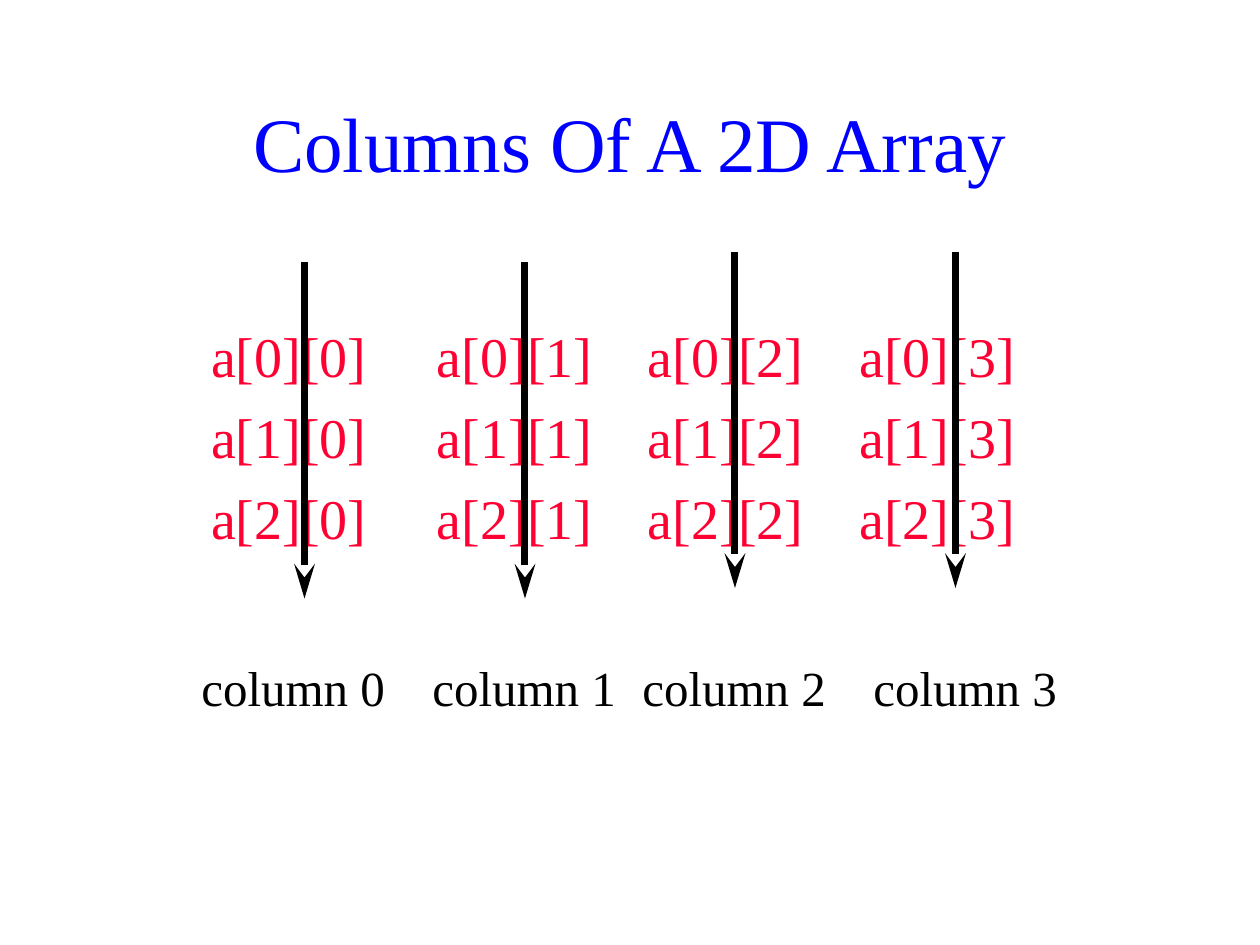
from dataclasses import dataclass

from lxml import etree
from pptx import Presentation
from pptx.dml.color import RGBColor
from pptx.enum import shapes, text
from pptx.oxml.ns import qn
from pptx.util import Pt


@dataclass(frozen=True)
class Theme:
    face: str = "Times New Roman"
    blue: str = "0000FF"
    red: str = "FF0033"
    black: str = "000000"
    head: int = 44
    cell: int = 32
    label: int = 28
    stroke: int = 4


@dataclass(frozen=True)
class Column:
    index: int
    cell: float  # left edge of the array cells
    line: float  # centre of the arrow
    top: float
    label: float


THEME = Theme()
ROWS = 3
LENGTH = 192
BODY = (30, 180, 642, 138)
COLUMNS = [
    Column(0, 120.7, 174, 150, 108),
    Column(1, 249.7, 300, 150, 240),
    Column(2, 370.3, 420, 144, 360),
    Column(3, 491.2, 546, 144, 492),
]


def apply(target, values: dict) -> None:
    for name, value in values.items():
        setattr(target, name, value)


def style(para, size: int, color: str) -> None:
    apply(para.font, {"name": THEME.face, "size": Pt(size)})
    para.font.color.rgb = RGBColor.from_string(color)


def add_tabs(para, stops: list[float]) -> None:
    tabs = etree.SubElement(para._p.get_or_add_pPr(), qn("a:tabLst"))
    for stop in stops:
        etree.SubElement(tabs, qn("a:tab"), pos=str(Pt(stop)), algn="l")


def set_title(shape) -> None:
    apply(shape, {"left": Pt(54), "top": Pt(36),
                  "width": Pt(612), "height": Pt(90)})
    frame = shape.text_frame
    apply(frame, {"text": "Columns Of A 2D Array",
                  "vertical_anchor": text.MSO_ANCHOR.MIDDLE})
    para = frame.paragraphs[0]
    para.alignment = text.PP_ALIGN.CENTER
    style(para, THEME.head, THEME.blue)


def add_cells(slide) -> None:
    """Write one tabbed line for each row of the array."""
    frame = slide.shapes.add_textbox(*map(Pt, BODY)).text_frame
    start = COLUMNS[0].cell
    apply(frame, {"margin_left": Pt(start - BODY[0]), "margin_right": 0,
                  "word_wrap": True})
    frame.text = "\n".join(
        "\t".join(f"a[{row}][{col.index}]" for col in COLUMNS)
        for row in range(ROWS))
    for row, para in enumerate(frame.paragraphs):
        add_tabs(para, [col.cell - start for col in COLUMNS[1:]])
        para.space_before = Pt(8 if row else 0)
        style(para, THEME.cell, THEME.red)


def add_arrow(slide, col: Column) -> None:
    line = slide.shapes.add_connector(
        shapes.MSO_CONNECTOR.STRAIGHT, Pt(col.line), Pt(col.top),
        Pt(col.line), Pt(col.top + LENGTH))
    line.line.width = Pt(THEME.stroke)
    line.line.color.rgb = RGBColor.from_string(THEME.black)
    etree.SubElement(line.line._get_or_add_ln(), qn("a:tailEnd"),
                     type="stealth", w="med", len="lg")
    etree.SubElement(line._element.spPr, qn("a:effectLst"))


def add_label(slide, col: Column) -> None:
    box = slide.shapes.add_textbox(Pt(col.label), Pt(372), Pt(120), Pt(41))
    frame = box.text_frame
    apply(frame, {"word_wrap": True, "text": f"column {col.index}"})
    style(frame.paragraphs[0], THEME.label, THEME.black)


def main() -> None:
    deck = Presentation()
    apply(deck, {"slide_width": Pt(720), "slide_height": Pt(540)})
    slide = deck.slides.add_slide(deck.slide_layouts.get_by_name("Title Only"))
    set_title(slide.shapes.title)
    add_cells(slide)
    for draw in (add_arrow, add_label):
        for col in COLUMNS:
            draw(slide, col)
    deck.save("out.pptx")


if __name__ == "__main__":
    main()
